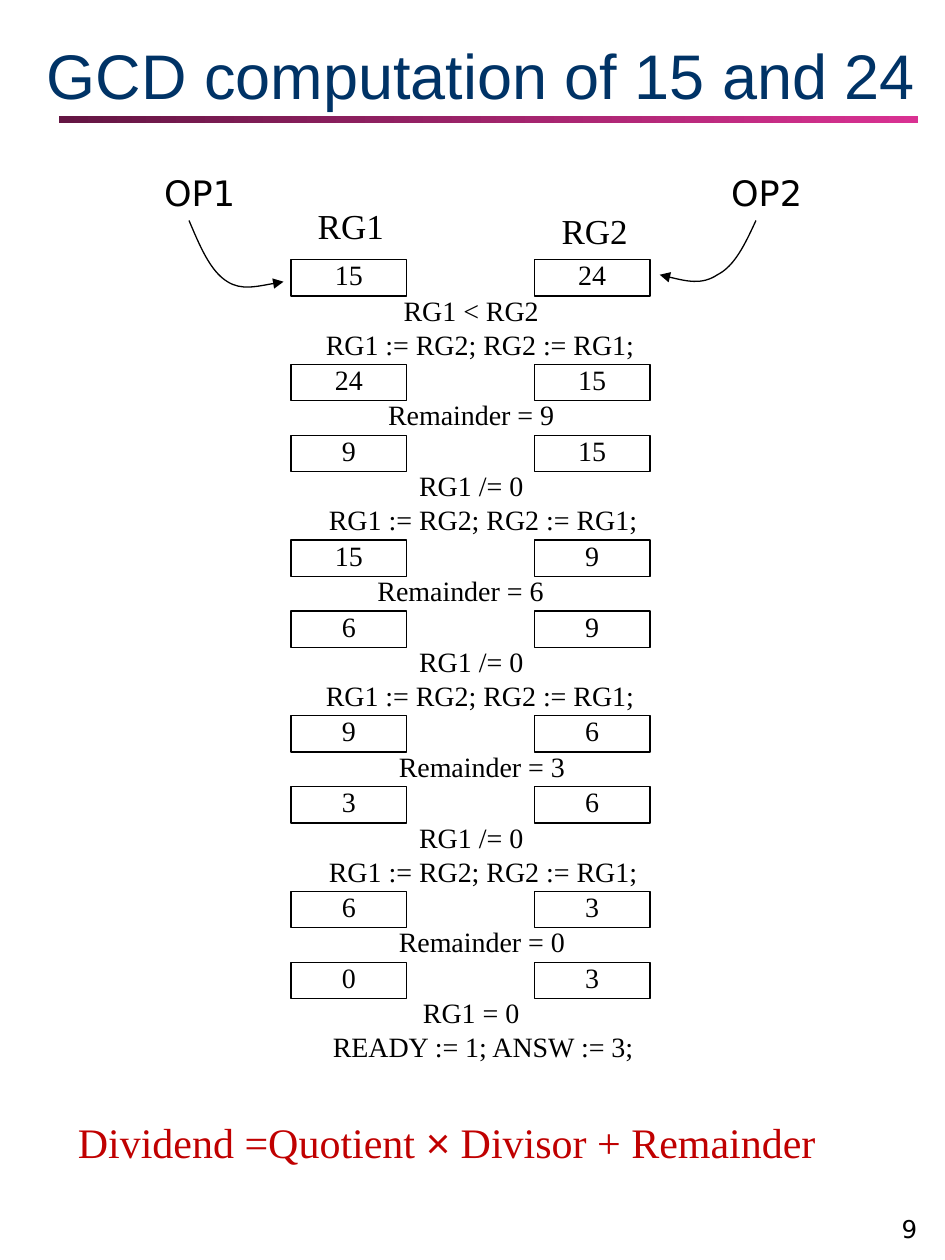
from lxml import etree
from pptx import Presentation
from pptx.dml.color import RGBColor
from pptx.enum import shapes, text
from pptx.oxml import ns
from pptx.util import Pt

BLACK = RGBColor(0x00, 0x00, 0x00)
NAVY = RGBColor(0x00, 0x33, 0x66)
RED = RGBColor(0xC0, 0x00, 0x00)
PLUM = RGBColor(0x64, 0x16, 0x43)
PINK = RGBColor(0xD9, 0x31, 0x92)
SERIF, SANS, TITLE_FONT = "Times New Roman", "DejaVu Sans", "Arial"
LEFT, CENTER, RIGHT = text.PP_ALIGN.LEFT, text.PP_ALIGN.CENTER, text.PP_ALIGN.RIGHT
TOP, MIDDLE, BOTTOM = (text.MSO_ANCHOR.TOP, text.MSO_ANCHOR.MIDDLE,
                       text.MSO_ANCHOR.BOTTOM)

# Content
TITLE = "GCD computation of 15 and 24"
SWAP = "RG1 := RG2; RG2 := RG1;"
# Each round: registers, then the notes below them with their centre x
CHECKS = [
    (("15", "24"), ("RG1 < RG2", 269.3), (SWAP, 274.3)),
    (("9", "15"), ("RG1 /= 0", 269.3), (SWAP, 276.1)),
    (("6", "9"), ("RG1 /= 0", 269.3), (SWAP, 274.3)),
    (("3", "6"), ("RG1 /= 0", 269.3), (SWAP, 276.1)),
    (("0", "3"), ("RG1 = 0", 269.3), ("READY := 1; ANSW := 3;", 276.1)),
]
SWAPPED = [
    (("24", "15"), ("Remainder = 9", 269.3)),
    (("15", "9"), ("Remainder = 6", 263.2)),
    (("9", "6"), ("Remainder = 3", 275.4)),
    (("6", "3"), ("Remainder = 0", 275.4)),
]
HEADINGS = [("RG1", 170, 121, 61), ("RG2", 306.7, 123.8, 66.2)]
OPERANDS = [("OP1", 84.2), ("OP2", 408.2)]
FORMULA = [("Dividend =Quotient ", SERIF), ("×", TITLE_FONT),
           (" Divisor + Remainder", SERIF)]
# Start point, then three Bézier points for each curve piece
ARROWS = [
    [(108, 126), (113.8, 140.4), (120.2, 154.8), (129.6, 160.6),
     (138.2, 166.3), (149.8, 163.4), (162, 160.6)],
    [(432, 126), (425.5, 139), (419.8, 151.9), (410.4, 157),
     (401, 162.7), (388.8, 159.8), (377.3, 157)],
]

# Grid of the trace
REGISTER_X = (166.3, 305.3)
REGISTER_W, REGISTER_H = 66.2, 20.9
CHECK_Y, SWAPPED_Y, ROUND_H = 148.3, 208.1, 100.4
NOTE_W, NOTE_H = 180, 19.4
NOTE_OFFSETS = (21, 40.5)


def write(sp, words, size, font=SERIF, color=BLACK, align=CENTER, anchor=MIDDLE,
          inset=(0, 0), spacing=None):
    tf = sp.text_frame
    tf.word_wrap = True
    tf.auto_size = text.MSO_AUTO_SIZE.NONE
    tf.vertical_anchor = anchor
    tf.margin_left = tf.margin_right = Pt(inset[0])
    tf.margin_top = tf.margin_bottom = Pt(inset[1])
    p = tf.paragraphs[0]
    p.alignment, p.line_spacing = align, spacing
    p.font.size, p.font.name, p.font.color.rgb = Pt(size), font, color
    if words:
        p.add_run().text = words
    return p


def add_text(s, x, y, w, h, words, size, **style):
    return write(s.shapes.add_textbox(Pt(x), Pt(y), Pt(w), Pt(h)), words, size, **style)


def add_row(s, y, registers, notes):
    for x, value in zip(REGISTER_X, registers):
        sp = s.shapes.add_shape(shapes.MSO_SHAPE.RECTANGLE, Pt(x), Pt(y),
                                Pt(REGISTER_W), Pt(REGISTER_H))
        sp.shadow.inherit = False
        sp.fill.background()
        sp.line.color.rgb, sp.line.width = BLACK, Pt(0.75)
        write(sp, value, 16, spacing=0.78)
    for offset, (words, center) in zip(NOTE_OFFSETS, notes):
        add_text(s, center - NOTE_W / 2, y + offset, NOTE_W, NOTE_H, words, 16,
                 spacing=0.78)


def add_curved_arrow(s, points):
    builder = s.shapes.build_freeform(*points[0], scale=Pt(1))
    builder.add_line_segments(points[1:], close=False)
    sp = builder.convert_to_shape()
    sp.shadow.inherit = False
    sp.fill.background()
    sp.line.color.rgb, sp.line.width = BLACK, Pt(0.75)
    # Turn every three line segments into one Bézier piece
    lines = list(sp.element.iter(ns.qn("a:lnTo")))
    outline = lines[0].getparent()
    for i, line in enumerate(lines):
        if i % 3 == 0:
            curve = etree.SubElement(outline, ns.qn("a:cubicBezTo"))
        curve.append(line[0])
        outline.remove(line)
    ln = sp.element.spPr.find(ns.qn("a:ln"))
    etree.SubElement(ln, ns.qn("a:tailEnd"), type="triangle")


def main():
    prs = Presentation()
    prs.slide_width, prs.slide_height = Pt(540), Pt(720)
    s = prs.slides.add_slide(prs.slide_layouts[5])

    # Title and rule
    title = s.shapes.title
    title.left, title.top, title.width, title.height = Pt(18), Pt(17.3), Pt(514), Pt(50.4)
    write(title, TITLE, 36, TITLE_FONT, NAVY, anchor=BOTTOM, inset=(7.2, 3.6))
    rule = s.shapes.add_shape(shapes.MSO_SHAPE.RECTANGLE,
                              Pt(33.8), Pt(66.2), Pt(491), Pt(4.3))
    rule.shadow.inherit = False
    rule.line.fill.background()
    rule.fill.gradient()
    rule.fill.gradient_angle = 0
    for stop, color in zip(rule.fill.gradient_stops, (PLUM, PINK)):
        stop.color.rgb = color

    # Operands and register headings
    for words, x in OPERANDS:
        add_text(s, x, 94.3, 59.8, 31.7, words, 20, font=SANS, anchor=TOP,
                 inset=(7.2, 3.6))
    for points in ARROWS:
        add_curved_arrow(s, points)
    for words, x, y, w in HEADINGS:
        add_text(s, x, y, w, 20.9, words, 20, spacing=0.78)

    # Trace of the computation
    for first_y, rows in ((CHECK_Y, CHECKS), (SWAPPED_Y, SWAPPED)):
        for i, (registers, *notes) in enumerate(rows):
            add_row(s, first_y + i * ROUND_H, registers, notes)

    # Formula and page number
    p = add_text(s, 37.4, 643.7, 476, 25.9, "", 24, color=RED, align=LEFT,
                 anchor=TOP, inset=(7.2, 3.6), spacing=0.64)
    for words, font in FORMULA:
        r = p.add_run()
        r.text, r.font.name = words, font
    add_text(s, 465, 683.3, 66.2, 31, "9", 14, font=SANS, align=RIGHT,
             anchor=BOTTOM, inset=(7.2, 3.6))

    prs.save("out.pptx")


if __name__ == "__main__":
    main()
